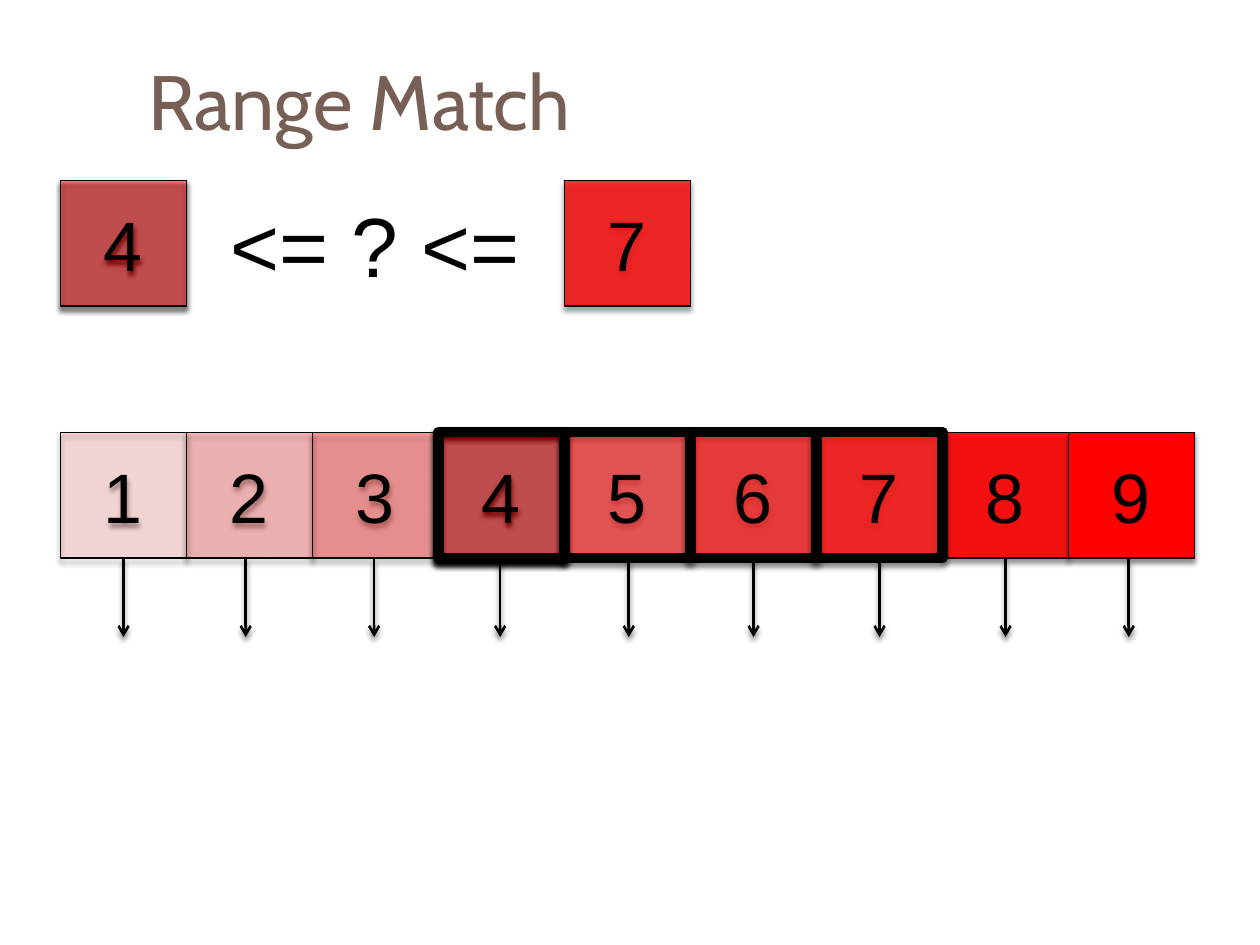
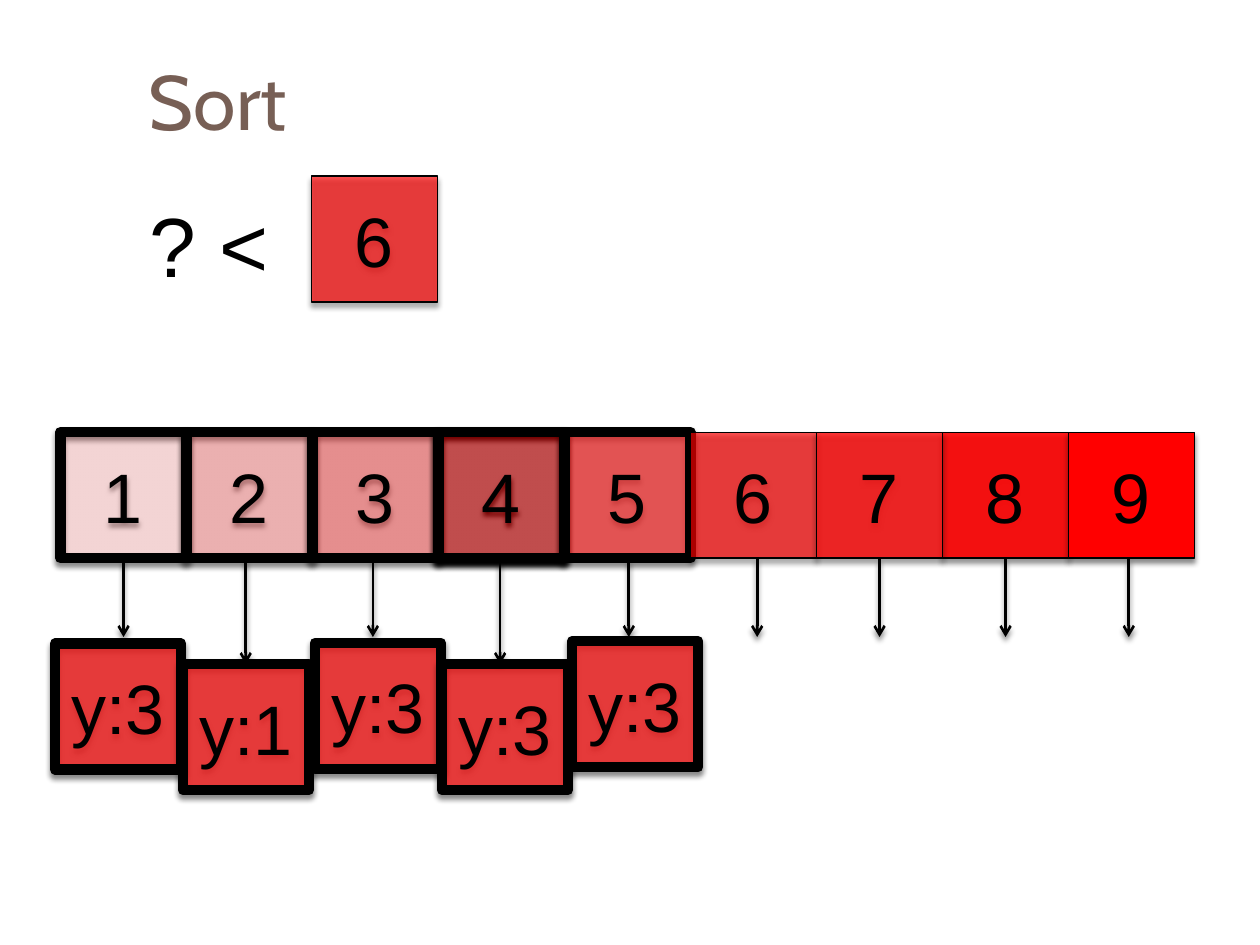
from lxml.etree import SubElement as Sub
from pptx import Presentation
from pptx.dml.color import RGBColor as Rgb
from pptx.enum.shapes import MSO_CONNECTOR as Conn, MSO_SHAPE as Kind
from pptx.enum.text import MSO_ANCHOR as Anchor, MSO_AUTO_SIZE as Auto, PP_ALIGN as Align
from pptx.oxml.ns import qn
from pptx.util import Pt

RED, BLACK, BROWN = "FF0000", "000000", "775F55"
SIDE, LEFT, TOP = 72, 34.5, 247
THIN, THICK = 0.79, 6
STEM, TIP, LOW = 319.5, 364, 379.5
STEMS = {1: 70.6, 2: 140.4, 3: 213.8, 4: 285.8, 5: 359.3,
         6: 430.6, 7: 502.6, 8: 574.6, 9: 645}
ORDER = (8, 1, 2, 3, 4, 5, 6, 7, 9)


def paint(color, code):
    color.rgb = Rgb.from_string(code)


def style(frame, size, font, code):
    for run in frame.paragraphs[0].runs:
        run.font.size = Pt(size)
        run.font.name = font
        paint(run.font.color, code)


def shade(props):
    list_ = props.find(qn("a:effectLst"))
    if list_ is None:
        list_ = Sub(props, qn("a:effectLst"))
    cast = Sub(list_, qn("a:outerShdw"), blurRad=str(Pt(3)), dist=str(Pt(2.4)),
               dir="5400000", rotWithShape="0")
    tint = Sub(cast, qn("a:srgbClr"), val=BLACK)
    Sub(tint, qn("a:alpha"), val="45000")


def label(slide, text, x, y, w, h, size, font, code):
    box = slide.shapes.add_textbox(Pt(x), Pt(y), Pt(w), Pt(h))
    box.text_frame.text = text
    style(box.text_frame, size, font, code)
    return box.text_frame


def title(slide, text):
    frame = label(slide, text, 78, 18, 642, 78, 44, "Cabin", BROWN)
    frame.word_wrap = True
    frame.vertical_anchor = Anchor.MIDDLE


def query(slide, text, x, w):
    frame = label(slide, text, x, 107.3, w, 65.5, 48, "Arial", BLACK)
    frame.word_wrap = False
    frame.auto_size = Auto.SHAPE_TO_FIT_TEXT


def tile(slide, text, level, x, y, edge=THIN):
    box = slide.shapes.add_shape(Kind.RECTANGLE, Pt(x), Pt(y), Pt(SIDE), Pt(SIDE))
    box.shadow.inherit = False
    box.fill.solid()
    paint(box.fill.fore_color, RED)
    props = box._element.spPr
    if level < 9:
        tint = props.find(qn("a:solidFill")).find(qn("a:srgbClr"))
        Sub(tint, qn("a:alpha"), val=str((11 * level + 1) * 1000))
    paint(box.line.color, BLACK)
    box.line.width = Pt(edge)
    shade(props)
    frame = box.text_frame
    frame.text = text
    frame.vertical_anchor = Anchor.MIDDLE
    frame.paragraphs[0].alignment = Align.CENTER
    style(frame, 40, "Arial", BLACK)


def row(slide, hits):
    for num in ORDER:
        edge = THICK if num in hits else THIN
        tile(slide, str(num), num, LEFT + (num - 1) * SIDE, TOP, edge)


def arrow(slide, x, end):
    line = slide.shapes.add_connector(Conn.STRAIGHT, Pt(x), Pt(STEM), Pt(x), Pt(end))
    paint(line.line.color, BLACK)
    line.line.width = Pt(1.5)
    props = line._element.spPr
    Sub(props.find(qn("a:ln")), qn("a:tailEnd"), type="arrow")
    shade(props)


def arrows(slide, stems, long=()):
    for num, x in stems.items():
        arrow(slide, x, LOW if num in long else TIP)


def match(slide):
    title(slide, "Range Match")
    row(slide, range(4, 8))
    tile(slide, "4", 4, LEFT, 103)
    query(slide, "<= ? <=", 124.5, 181.5)
    arrows(slide, STEMS)
    tile(slide, "7", 7, LEFT + 4 * SIDE, 103)


def sort(slide):
    title(slide, "Sort")
    row(slide, range(1, 6))
    tile(slide, "6", 6, 178, 100.6)
    query(slide, "? <", 78.5, 83.5)
    arrows(slide, {**STEMS, 3: 213.1, 6: 432.7}, long=(2, 4))
    for text, x, y in (("y:3", 31.5, 367.8), ("y:1", 104.6, LOW), ("y:3", 180, 367.4),
                       ("y:3", 252.6, LOW), ("y:3", 327, 366.4)):
        tile(slide, text, 6, x, y, THICK)


def main():
    deck = Presentation()
    deck.slide_width, deck.slide_height = Pt(720), Pt(540)
    for build in (match, sort):
        build(deck.slides.add_slide(deck.slide_layouts[6]))
    deck.save("out.pptx")


if __name__ == "__main__":
    main()
